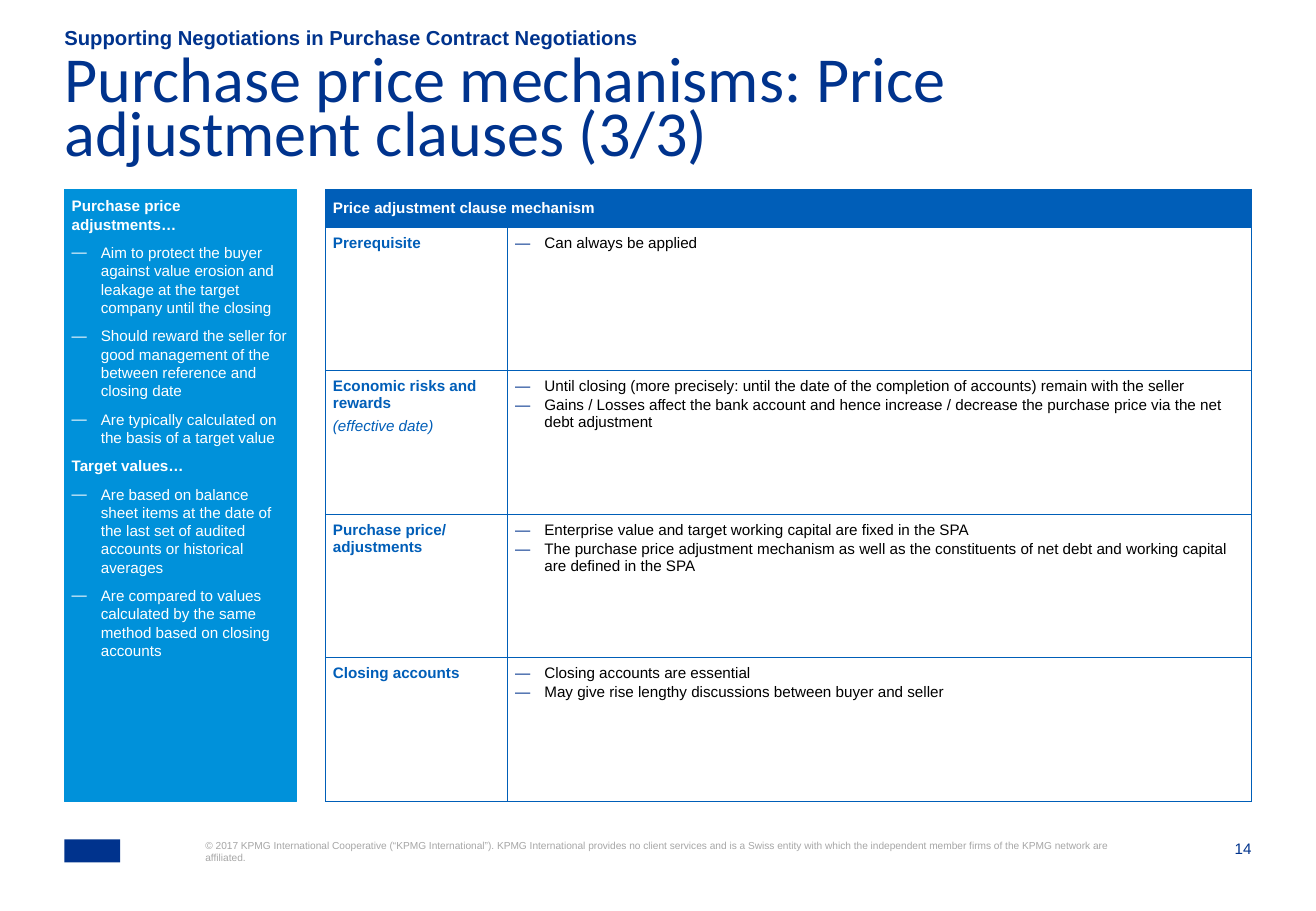
import pptx
import pptx.util
import pptx.dml.color
import pptx.enum.shapes
import pptx.enum.text
import pptx.oxml
import pptx.oxml.ns
from lxml import etree

Inches = pptx.util.Inches
Pt = pptx.util.Pt
Align = pptx.enum.text.PP_ALIGN
Anchor = pptx.enum.text.MSO_ANCHOR
qn = pptx.oxml.ns.qn

COLORS = {
    "navy": "00338D",
    "blue": "005EB8",
    "light": "0091DA",
    "gray": "A6A6A6",
    "white": "FFFFFF",
    "black": "000000",
}
PAD = 0.06
DASH = 0.24

SIDE = [
    ("Purchase price adjustments…", [
        "Aim to protect the buyer against value erosion and leakage at the target company until the closing",
        "Should reward the seller for good management of the between reference and closing date",
        "Are typically calculated on the basis of a target value",
    ]),
    ("Target values…", [
        "Are based on balance sheet items at the date of the last set of audited accounts or historical averages",
        "Are compared to values calculated by the same method based on closing accounts",
    ]),
]
HEAD = "Price adjustment clause mechanism"
ROWS = [
    ("Prerequisite", "", ["Can always be applied"]),
    ("Economic risks and rewards", "(effective date)", [
        "Until closing (more precisely: until the date of the completion of accounts) remain with the seller",
        "Gains / Losses affect the bank account and hence increase / decrease the purchase price via the net debt adjustment",
    ]),
    ("Purchase price/ adjustments", "", [
        "Enterprise value and target working capital are fixed in the SPA",
        "The purchase price adjustment mechanism as well as the constituents of net debt and working capital are defined in the SPA",
    ]),
    ("Closing accounts", "", [
        "Closing accounts are essential",
        "May give rise lengthy discussions between buyer and seller",
    ]),
]
LEGAL = (
    "© 2017 KPMG International Cooperative (“KPMG International”). "
    "KPMG International provides no client services and is a Swiss entity with which "
    "the independent member firms of the KPMG network are affiliated."
)


def rgb(name):
    """Return the named colour."""
    return pptx.dml.color.RGBColor.from_string(COLORS[name])


def paint(part, name):
    """Fill a shape or cell with one colour."""
    part.fill.solid()
    part.fill.fore_color.rgb = rgb(name)


def place(shape, box):
    """Move a shape to a box given in inches."""
    shape.left, shape.top, shape.width, shape.height = map(Inches, box)


def setup(frame, pad=0, anchor=Anchor.TOP):
    """Set wrapping, margins and anchor of a text frame."""
    frame.word_wrap = True
    frame.auto_size = pptx.enum.text.MSO_AUTO_SIZE.NONE
    frame.vertical_anchor = anchor
    frame.margin_left = frame.margin_right = Inches(pad)
    frame.margin_top = frame.margin_bottom = Inches(pad)


def mark(para, name=None):
    """Give a paragraph a dash bullet in a colour, or no bullet."""
    props = para._p.get_or_add_pPr()
    indent = Inches(DASH) if name else 0
    props.set("marL", str(indent))
    props.set("indent", str(-indent))
    if name:
        color = etree.SubElement(props, qn("a:buClr"))
        etree.SubElement(color, qn("a:srgbClr"), val=COLORS[name])
        etree.SubElement(props, qn("a:buFont"), typeface="Arial")
        etree.SubElement(props, qn("a:buChar"), char="—")
    else:
        etree.SubElement(props, qn("a:buNone"))


def write(frame, items, size=9, before=0, after=0, face="Arial", align=Align.LEFT):
    """Write (text, colour, style, bullet colour) items as paragraphs."""
    frame.text = "\n".join(item[0] for item in items)
    for index, (para, item) in enumerate(zip(frame.paragraphs, items)):
        text, color, style, bullet = item
        mark(para, bullet)
        para.alignment = align
        para.space_before = Pt(before if index else 0)
        para.space_after = Pt(after)
        for run in para.runs:
            font = run.font
            font.name, font.size = face, Pt(size)
            font.color.rgb = rgb(color)
            font.bold, font.italic = style == "bold", style == "italic"


def add_head(slide, box):
    """Place the small heading and the title below it."""
    left, top, width, height = box
    small = slide.placeholders[1]
    place(small, (left, top, 9.4, 0.19))
    setup(small.text_frame, anchor=Anchor.BOTTOM)
    write(small.text_frame,
          [("Supporting Negotiations in Purchase Contract Negotiations", "navy", "bold", None)], 12)
    title = slide.shapes.title
    place(title, (left, top + 0.27, width, height - 0.27))
    setup(title.text_frame)
    write(title.text_frame,
          [("Purchase price mechanisms: Price adjustment clauses (3/3)", "navy", "", None)],
          38, face="Calibri")
    title.text_frame.paragraphs[0].line_spacing = 0.7


def add_side(slide, box):
    """Place the blue panel with its headed lists."""
    panel = slide.placeholders[2]
    place(panel, box)
    paint(panel, "light")
    panel.line.color.rgb = rgb("light")
    panel.line.width = Pt(0.75)
    setup(panel.text_frame, PAD)
    items = []
    for head, points in SIDE:
        items.append((head, "white", "bold", None))
        items += [(point, "white", "", "white") for point in points]
    write(panel.text_frame, items, after=6)


def dress(cell, fill, items, before=0, anchor=Anchor.TOP):
    """Fill, border and write one table cell."""
    cell.margin_left = cell.margin_right = Inches(PAD)
    cell.margin_top = cell.margin_bottom = Inches(PAD)
    cell.vertical_anchor = anchor
    props = cell._tc.get_or_add_tcPr()
    for side in ("a:lnL", "a:lnR", "a:lnT", "a:lnB"):
        line = etree.SubElement(props, qn(side), w=str(Pt(0.75)))
        solid = etree.SubElement(line, qn("a:solidFill"))
        etree.SubElement(solid, qn("a:srgbClr"), val=COLORS["blue"])
    paint(cell, fill)
    write(cell.text_frame, items, before=before)


def add_grid(slide, box):
    """Place the table of clause mechanisms."""
    left, top, width, height = box
    grid = slide.shapes.add_table(len(ROWS) + 1, 2, *map(Inches, box)).table
    grid.first_row = grid.horz_banding = False
    label, bar = 1.5, 0.31
    grid.columns[0].width = Inches(label)
    grid.columns[1].width = Inches(width - label)
    for index, row in enumerate(grid.rows):
        row.height = Inches((height - bar) / len(ROWS) if index else bar)
    grid.cell(0, 0).merge(grid.cell(0, 1))
    for col, text in enumerate((HEAD, "")):
        dress(grid.cell(0, col), "blue", [(text, "white", "bold", None)], anchor=Anchor.MIDDLE)
    for index, (name, note, points) in enumerate(ROWS, 1):
        names = [(name, "blue", "bold", None)]
        if note:
            names.append((note, "blue", "italic", None))
        dress(grid.cell(index, 0), "white", names, 3.6)
        dress(grid.cell(index, 1), "white",
              [(point, "black", "", "navy") for point in points], 1)


def add_foot(slide, box):
    """Place the plain mark, the legal line and the page number."""
    left, top, width, height = box
    block = slide.shapes.add_shape(
        pptx.enum.shapes.MSO_SHAPE.RECTANGLE, *map(Inches, (left, top, 0.46, 0.19)))
    block.shadow.inherit = False
    paint(block, "navy")
    block.line.fill.background()
    notes = [
        (LEGAL, left + 1.16, 7.49, height, 6, "gray", Align.LEFT),
        ("14", left + width - 0.43, 0.43, 0.16, 9, "navy", Align.RIGHT),
    ]
    for text, start, span, tall, size, color, align in notes:
        note = slide.shapes.add_textbox(*map(Inches, (start, top, span, tall)))
        setup(note.text_frame)
        write(note.text_frame, [(text, color, "", None)], size, align=align)


def main():
    """Build and save the slide."""
    deck = pptx.Presentation()
    deck.slide_width, deck.slide_height = Inches(10.83), Inches(7.5)
    slide = deck.slides.add_slide(deck.slide_layouts.get_by_name("Two Content"))
    add_head(slide, (0.53, 0.22, 9.75, 1.06))
    add_side(slide, (0.53, 1.56, 1.91, 5.04))
    add_grid(slide, (2.68, 1.56, 7.62, 5.04))
    add_foot(slide, (0.53, 6.91, 9.77, 0.41))
    deck.save("out.pptx")


if __name__ == "__main__":
    main()
